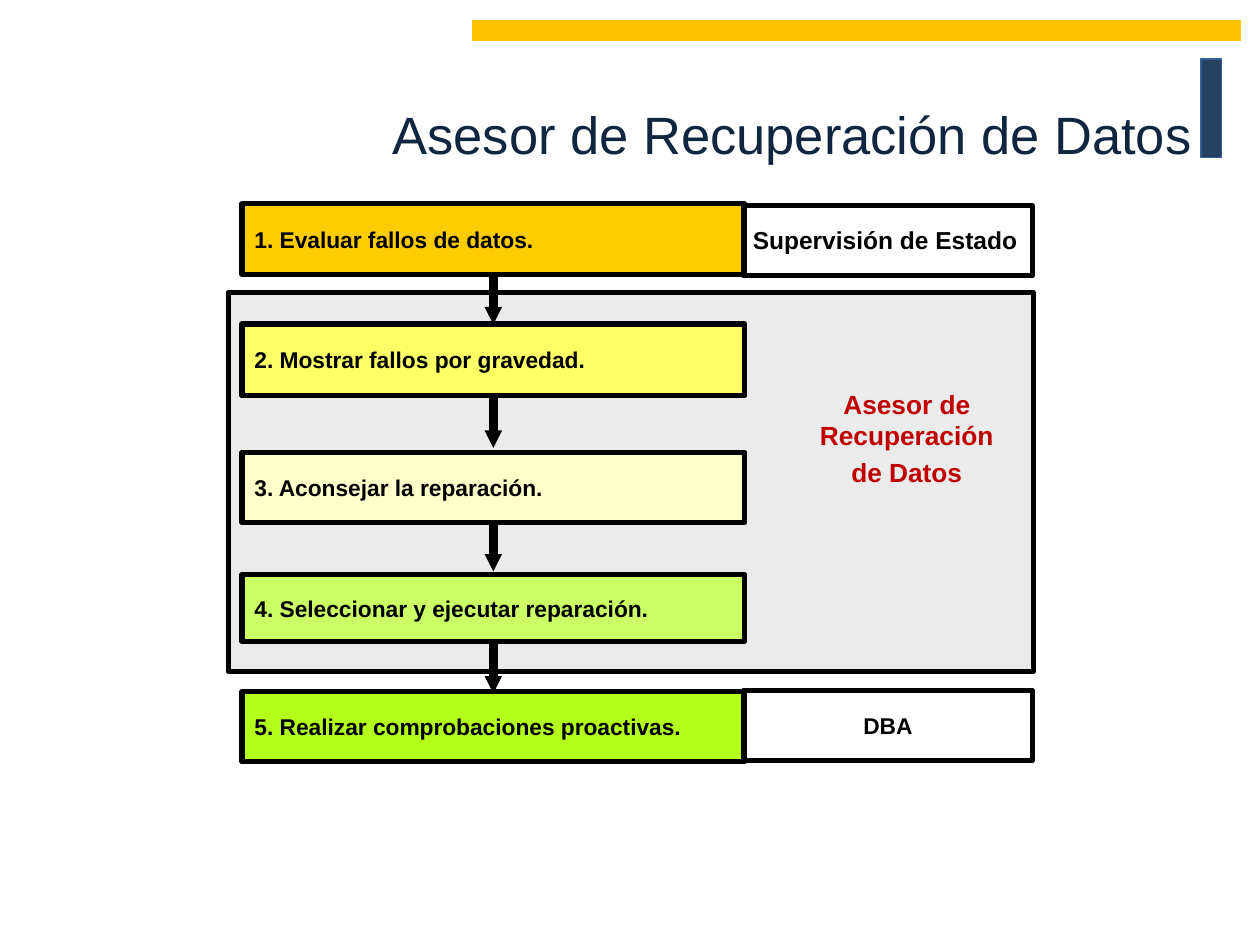
from lxml.etree import SubElement
from pptx import Presentation
from pptx.dml.color import RGBColor
from pptx.enum.shapes import MSO_CONNECTOR, MSO_SHAPE
from pptx.enum.text import MSO_ANCHOR, PP_ALIGN
from pptx.oxml.ns import qn
from pptx.util import Cm, Pt


def rgb(value):
    return RGBColor.from_string(value)


class Deck:
    font = "Arial"
    black = "000000"
    border = 3
    arrow_width = 5

    def __init__(self, slide):
        self.s = slide

    def label(self, sp, text, size, color=black, bold=True,
              align=PP_ALIGN.CENTER, anchor=MSO_ANCHOR.MIDDLE, wrap=True):
        tf = sp.text_frame
        tf.text = text
        tf.word_wrap = wrap
        tf.vertical_anchor = anchor
        for i, p in enumerate(tf.paragraphs):
            p.alignment = align
            if i:
                p.space_before = Pt(size * 0.2)
            for r in p.runs:
                r.font.name = self.font
                r.font.size = Pt(size)
                r.font.bold = bold
                r.font.color.rgb = rgb(color)

    def rect(self, x, y, w, h, fill=None, line=black, width=border):
        sp = self.s.shapes.add_shape(MSO_SHAPE.RECTANGLE, Cm(x), Cm(y), Cm(w), Cm(h))
        sp.shadow.inherit = False
        if fill:
            sp.fill.solid()
            sp.fill.fore_color.rgb = rgb(fill)
        else:
            sp.fill.background()
        sp.line.color.rgb = rgb(line)
        sp.line.width = Pt(width)
        return sp

    def text(self, x, y, w, h, text, size, **style):
        sp = self.s.shapes.add_textbox(Cm(x), Cm(y), Cm(w), Cm(h))
        self.label(sp, text, size, **style)

    def down_arrow(self, x, y, length):
        c = self.s.shapes.add_connector(
            MSO_CONNECTOR.STRAIGHT, Cm(x), Cm(y), Cm(x), Cm(y + length))
        c.line.color.rgb = rgb(self.black)
        c.line.width = Pt(self.arrow_width)
        sp_pr = c._element.spPr
        SubElement(sp_pr.find(qn("a:ln")), qn("a:tailEnd"),
                   type="triangle", w="sm", len="sm")
        SubElement(sp_pr, qn("a:effectLst"))


STEPS = [
    ("1. Evaluar fallos de datos.", 4.11, 1.42, "FFCC00"),
    ("2. Mostrar fallos por gravedad.", 6.53, 1.45, "FFFF66"),
    ("3. Aconsejar la reparación.", 9.12, 1.42, "FFFFCC"),
    ("4. Seleccionar y ejecutar reparación.", 11.58, 1.35, "CCFF65"),
    ("5. Realizar comprobaciones proactivas.", 13.94, 1.42, "B3FF1B"),
]
ARROW_TOPS = [5.54, 8.03, 10.52, 12.98]
STEP_LEFT, STEP_WIDTH = 4.88, 10.13
ROLE_LEFT, ROLE_WIDTH, ROLE_HEIGHT = 14.99, 5.82, 1.42


def main():
    prs = Presentation()
    prs.slide_width, prs.slide_height = Cm(25.4), Cm(19.05)
    deck = Deck(prs.slides.add_slide(prs.slide_layouts[6]))

    deck.rect(24.21, 1.19, 0.41, 1.98, "254061", "376092", 0.75)
    deck.rect(9.53, 0.41, 15.47, 0.41, "FFC000", "FFC000", 0.75)
    deck.text(0.89, 0.66, 23.39, 4.06, "Asesor de Recuperación de Datos", 30,
              color="10253F", bold=False, align=PP_ALIGN.RIGHT)

    deck.rect(4.6, 5.89, 16.23, 7.65, "EBEBEB")
    for name, top, height, fill in STEPS:
        step = deck.rect(STEP_LEFT, top, STEP_WIDTH, height, fill)
        deck.label(step, name, 13, align=PP_ALIGN.LEFT)
    for top in ARROW_TOPS:
        deck.down_arrow(STEP_LEFT + STEP_WIDTH / 2, top, 1)

    deck.text(16.26, 7.7, 4.04, 2.31, "Asesor de\vRecuperación\nde Datos", 15,
              color="C00000", anchor=MSO_ANCHOR.TOP, wrap=False)
    deck.rect(ROLE_LEFT, 4.14, ROLE_WIDTH, ROLE_HEIGHT)
    deck.text(14.91, 4.42, 5.87, 0.86, "Supervisión de Estado", 14,
              anchor=MSO_ANCHOR.TOP, wrap=False)
    dba = deck.rect(ROLE_LEFT, 13.92, ROLE_WIDTH, ROLE_HEIGHT)
    deck.label(dba, "DBA", 13)

    prs.save("out.pptx")


if __name__ == "__main__":
    main()
